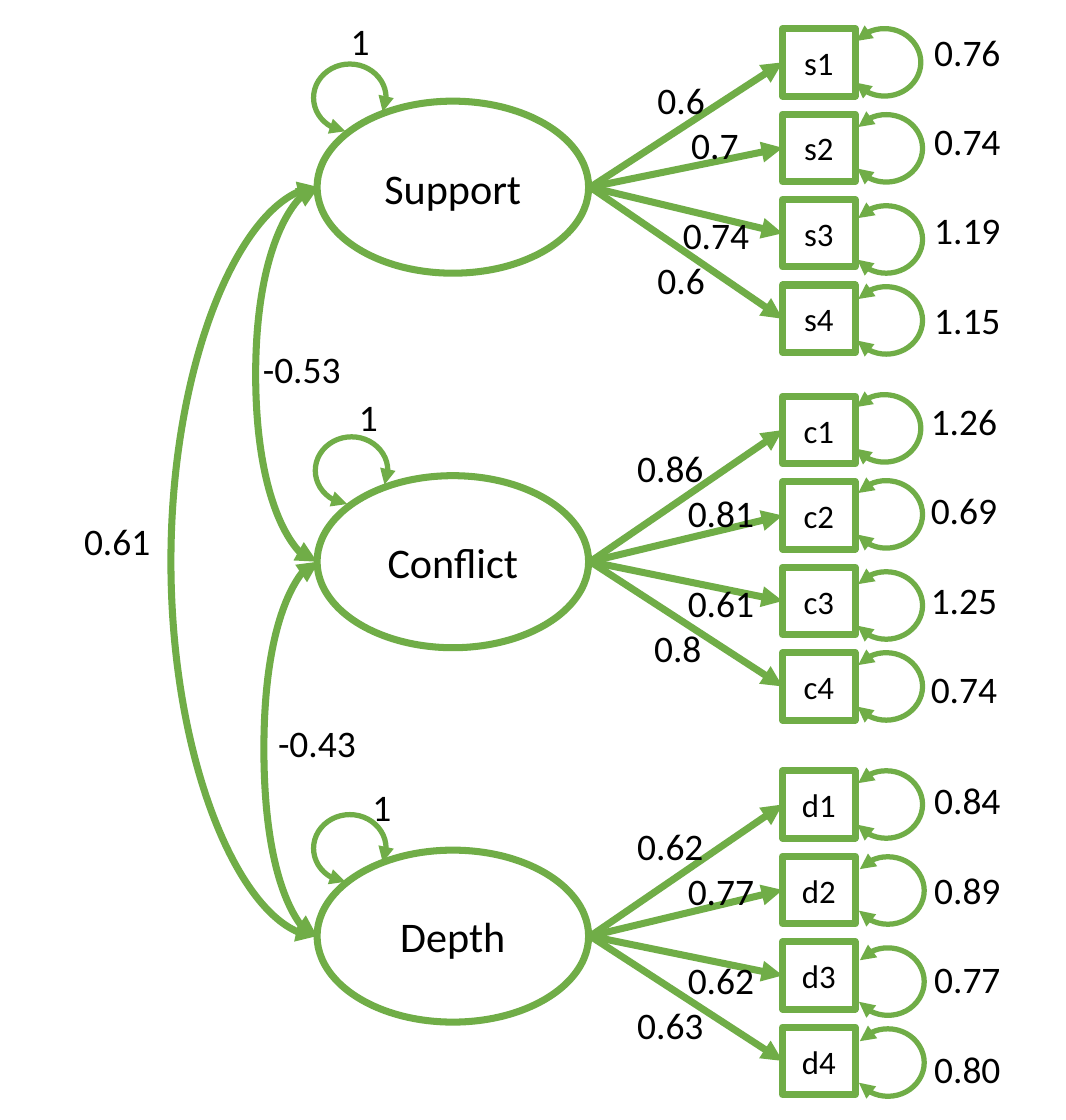
from lxml import etree
from pptx import Presentation
from pptx.dml.color import RGBColor
from pptx.enum.shapes import MSO_CONNECTOR, MSO_SHAPE
from pptx.enum.text import MSO_ANCHOR, PP_ALIGN
from pptx.oxml.ns import qn
from pptx.util import Inches, Pt

STRAIGHT, CURVE = MSO_CONNECTOR.STRAIGHT, MSO_CONNECTOR.CURVE
OVAL, RECTANGLE, ARC = MSO_SHAPE.OVAL, MSO_SHAPE.RECTANGLE, MSO_SHAPE.ARC
COLORS = {"path": "70AD47", "node": "FFFFFF", "text": "000000"}
LINE_HEIGHT = Pt(19)

# Loadings are (value, indent); "one" is the place of the variance label
FACTORS = [
    dict(name="Support", top=0.6, items_top=0.17, letter="s",
         loadings=[("0.6", 0), ("0.7", 0.2), ("0.74", 0.15), ("0.6", 0)],
         loadings_at=(3.8, 0.41), variance_at=(1.86, 0.38), one=(1.98, 0.06),
         residuals=["0.76", "0.74", "1.19", "1.15"],
         residuals_at=(5.44, 0.12), loops_at=(5.03, 0.17)),
    dict(name="Conflict", top=2.82, items_top=2.35, letter="c",
         loadings=[("0.86", 0), ("0.81", 0.3), ("0.61", 0.3), ("0.8", 0.1)],
         loadings_at=(3.68, 2.59), variance_at=(1.87, 2.59), one=(2.03, 2.29),
         residuals=["1.26", "0.69", "1.25", "0.74"],
         residuals_at=(5.42, 2.31), loops_at=(5.03, 2.34)),
    dict(name="Depth", top=5.04, items_top=4.57, letter="d",
         loadings=[("0.62", 0), ("0.77", 0.3), ("0.62", 0.3), ("0.63", 0)],
         loadings_at=(3.68, 4.83), variance_at=(1.86, 4.83), one=(2.11, 4.6),
         residuals=["0.84", "0.89", "0.77", "0.80"],
         residuals_at=(5.44, 4.56), loops_at=(5.04, 4.57)),
]
LOOP_DROPS = [0, 0.51, 1.05, 1.53]
# Start, end, bow to the left, value and its place
COVARIANCES = [
    (1.11, 5.55, 0.89, "0.61", (0.4, 3.02)),
    (1.11, 3.33, 0.38, "-0.53", (1.46, 2)),
    (3.33, 5.55, 0.33, "-0.43", (1.55, 4.22)),
]

prs = Presentation()
prs.slide_width, prs.slide_height = Inches(6.32), Inches(6.64)
slide = prs.slides.add_slide(prs.slide_layouts[6])
shapes = slide.shapes


def draw_path(path, width, *ends):
    """Colour a line, drop its shadow and put arrowheads on the named ends."""
    path.line.color.rgb = RGBColor.from_string(COLORS["path"])
    path.line.width = Pt(width)
    for end in ends:
        etree.SubElement(path.line._get_or_add_ln(), qn(f"a:{end}"), type="triangle")
    properties = path._element.spPr
    if properties.find(qn("a:effectLst")) is None:
        etree.SubElement(properties, qn("a:effectLst"))


def write_values(place, values, size=(0.85, 0.37), indents=(), gaps=()):
    """Write one value per paragraph, with optional indents and gaps above."""
    box = shapes.add_textbox(*map(Inches, (*place, *size)))
    frame = box.text_frame
    frame.word_wrap = True
    frame.margin_right = 0
    frame.text = "\n".join(values)
    for paragraph in frame.paragraphs:
        paragraph.font.size = Pt(16)
        paragraph.font.name = "Calibri"
        paragraph.font.color.rgb = RGBColor.from_string(COLORS["text"])
    for paragraph, indent in zip(frame.paragraphs, indents):
        paragraph._p.get_or_add_pPr().set("marL", str(Inches(indent)))
    for index in gaps:
        frame.paragraphs[index].space_before = LINE_HEIGHT


for factor in FACTORS:
    nodes = [(OVAL, (1.88, factor["top"], 1.61, 1.02), factor["name"], 18)]
    for i in range(4):
        item_top = factor["items_top"] + i * 1.52 / 3
        nodes.append((RECTANGLE, (4.64, item_top, 0.43, 0.4),
                      f"{factor['letter']}{i + 1}", 14))

    items = []
    for kind, place, label, size in nodes:
        node = shapes.add_shape(kind, *map(Inches, place))
        node.fill.solid()
        node.fill.fore_color.rgb = RGBColor.from_string(COLORS["node"])
        draw_path(node, 3)
        frame = node.text_frame
        frame.margin_left = frame.margin_right = 0
        frame.vertical_anchor = MSO_ANCHOR.MIDDLE
        frame.text = label
        paragraph = frame.paragraphs[0]
        paragraph.alignment = PP_ALIGN.CENTER
        paragraph.font.size = Pt(size)
        paragraph.font.name = "Calibri"
        paragraph.font.color.rgb = RGBColor.from_string(COLORS["text"])
        if kind == RECTANGLE:
            items.append(node)

    middle = Inches(factor["top"] + 0.51)
    for item in items:
        loading = shapes.add_connector(STRAIGHT, Inches(3.5), middle, item.left, item.top)
        loading.end_connect(item, 1)
        draw_path(loading, 3, "tailEnd")

    loops = [(factor["variance_at"], (58.62, 13.89))]
    left, top = factor["loops_at"]
    for i, drop in enumerate(LOOP_DROPS):
        loops.append(((left + (0.01 if i else 0), top + drop), (130.37, 87.08)))
    for place, angles in loops:
        loop = shapes.add_shape(ARC, *map(Inches, (*place, 0.43, 0.4)))
        loop.adjustments[0], loop.adjustments[1] = angles
        loop.fill.background()
        draw_path(loop, 2.25, "headEnd", "tailEnd")

    values, indents = zip(*factor["loadings"])
    write_values(factor["loadings_at"], values, (0.97, 1.45), indents, gaps=[2])
    write_values(factor["residuals_at"], factor["residuals"], (0.85, 1.99), gaps=[1, 2, 3])
    write_values(factor["one"], ["1"])

for start, end, bow, value, place in COVARIANCES:
    covariance = shapes.add_connector(
        CURVE, Inches(1.89), Inches(start), Inches(1.88), Inches(end))
    guides = covariance._element.spPr.find(qn("a:prstGeom")).find(qn("a:avLst"))
    bend = round(bow / 0.01 * 100000)
    etree.SubElement(guides, qn("a:gd"), name="adj1", fmla=f"val {bend}")
    draw_path(covariance, 3, "headEnd", "tailEnd")
    write_values(place, [value])

prs.save("out.pptx")
